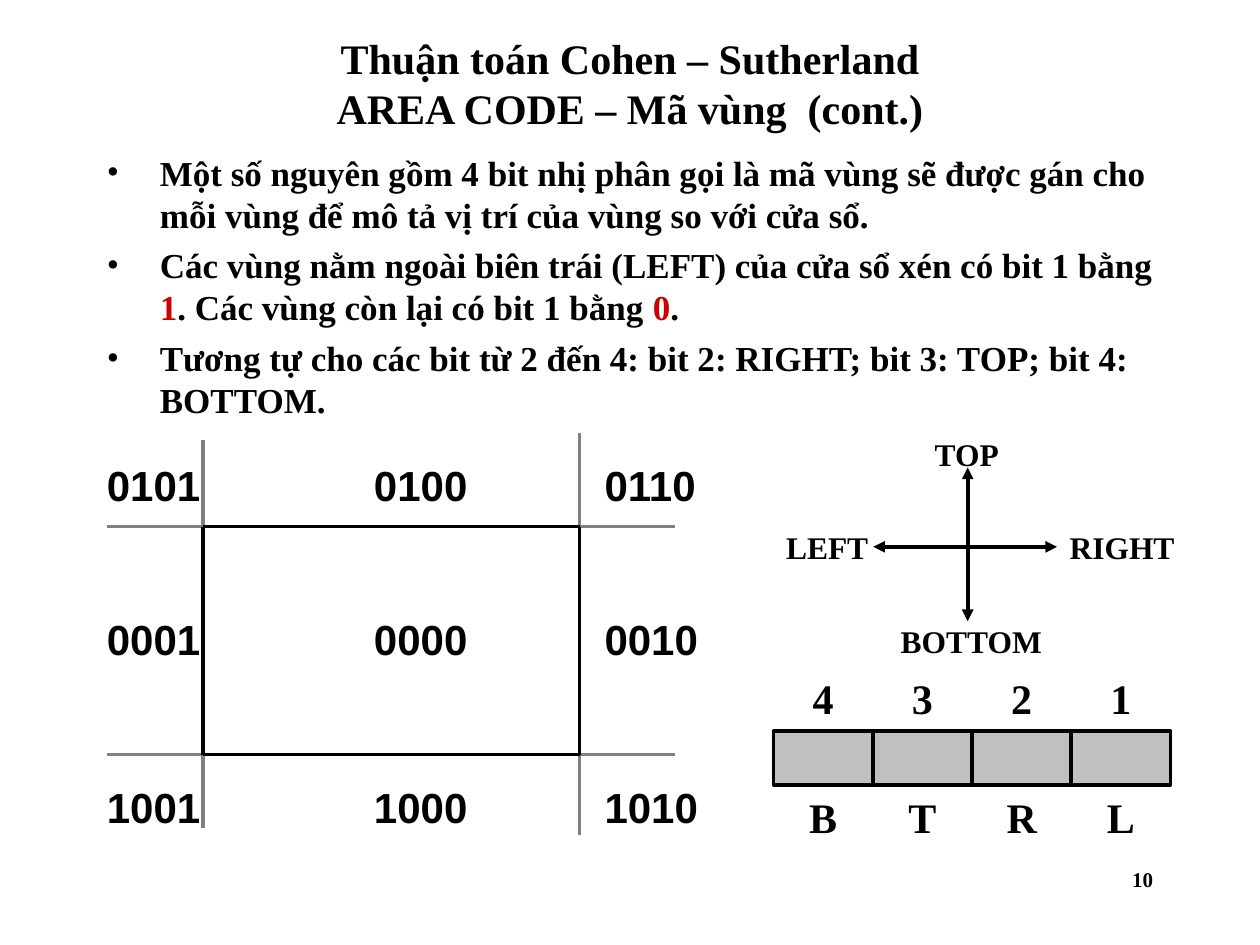
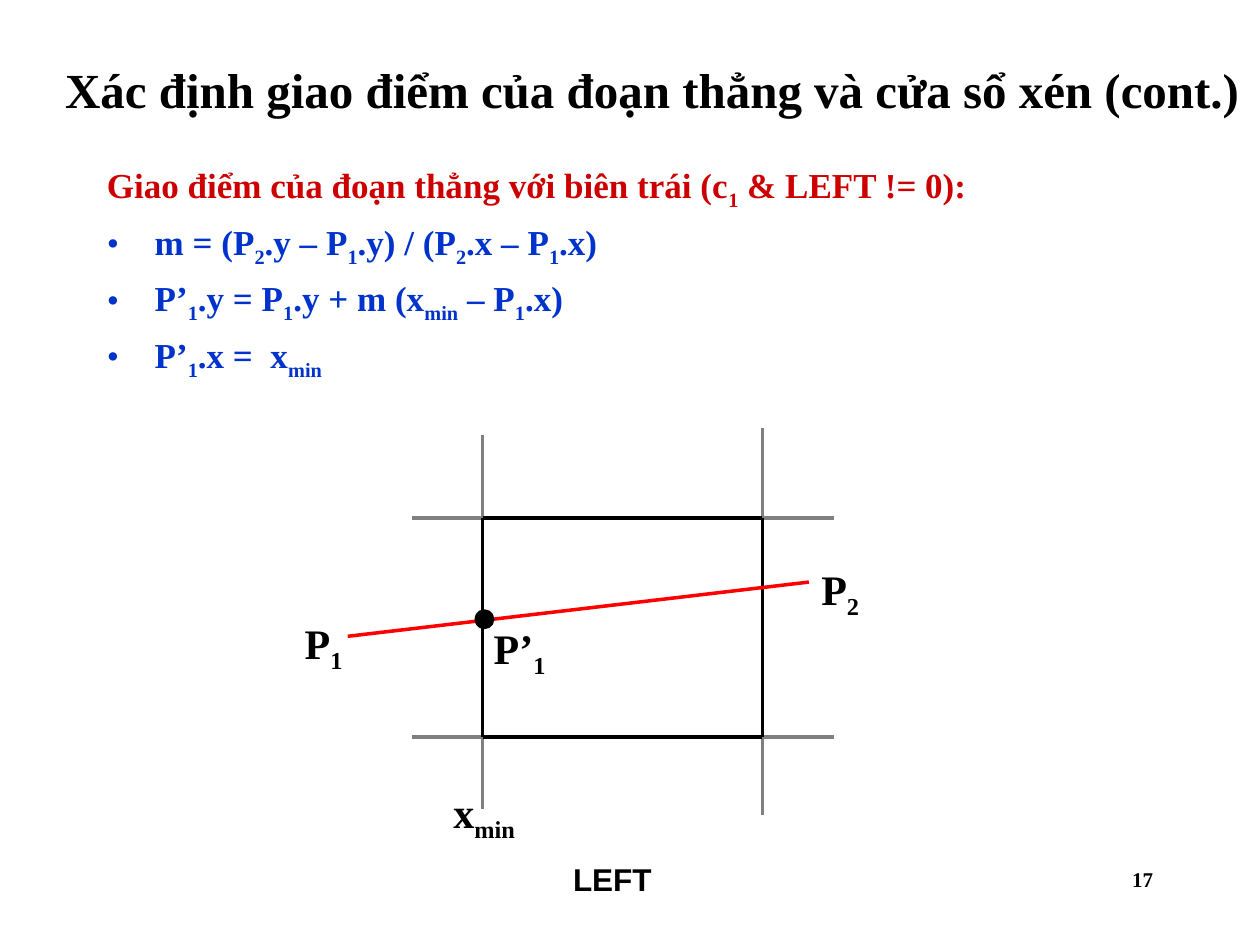
from dataclasses import dataclass

from lxml.etree import SubElement
from pptx import Presentation
from pptx.dml.color import RGBColor as RGB
from pptx.enum.shapes import MSO_CONNECTOR as CONNECTOR, MSO_SHAPE as SHAPE
from pptx.enum.text import MSO_ANCHOR as ANCHOR, PP_ALIGN as ALIGN
from pptx.oxml.ns import qn
from pptx.util import Inches, Pt


@dataclass(frozen=True)
class Theme:
    ink: RGB = RGB(0x00, 0x00, 0x00)
    accent: RGB = RGB(0xCC, 0x00, 0x00)
    formula: RGB = RGB(0x00, 0x33, 0xCC)
    border: RGB = RGB(0x80, 0x80, 0x80)
    cell: RGB = RGB(0xC0, 0xC0, 0xC0)
    segment: RGB = RGB(0xFF, 0x00, 0x00)
    serif: str = "Times New Roman"
    sans: str = "Arial"
    title: int = 28
    large: int = 24
    body: int = 20
    small: int = 18
    page: int = 12
    stroke: float = 2
    arrow: float = 2.25


theme = Theme()


def add_text(slide, box, lines, size, font=theme.serif, align=ALIGN.LEFT,
             anchor=ANCHOR.TOP, wrap=True, before=0, accent=None):
    frame = slide.shapes.add_textbox(*map(Inches, box)).text_frame
    frame.word_wrap = wrap
    frame.vertical_anchor = anchor
    for index, (line, color) in enumerate(lines):
        paragraph = frame.add_paragraph() if index else frame.paragraphs[0]
        first, *rest = line.split("|")
        paragraph.text = first
        for piece in rest:
            paragraph.add_run().text = piece
        paragraph.alignment = align
        paragraph.space_before = Pt(before)
        for order, run in enumerate(paragraph.runs):
            run.font.name, run.font.size, run.font.bold = font, Pt(size), True
            run.font.color.rgb = color
            if rest and order % 2:
                if accent:
                    run.font.color.rgb = accent
                else:
                    run.font._element.set("baseline", "-25000")
    return frame


def add_line(slide, x1, y1, x2, y2, color, width=theme.stroke, arrows=False):
    line = slide.shapes.add_connector(CONNECTOR.STRAIGHT, *map(Inches, (x1, y1, x2, y2)))
    line.line.color.rgb = color
    line.line.width = Pt(width)
    if arrows:
        for end in ("a:headEnd", "a:tailEnd"):
            SubElement(line.line._get_or_add_ln(), qn(end), type="triangle")
    SubElement(line._element.spPr, qn("a:effectLst"))


deck = Presentation()
deck.slide_width, deck.slide_height = Inches(10), Inches(7.5)

pages = [
    dict(
        title="Thuận toán Cohen – Sutherland\nAREA CODE – Mã vùng  (cont.)",
        title_box=(0.75, 0.28, 8.5, 0.75), title_size=theme.large,
        body_box=(0.75, 1.15, 8.52, 2.24), indent=0.42, accent=theme.accent,
        lines=[
            ("Một số nguyên gồm 4 bit nhị phân gọi là mã vùng sẽ được gán cho "
             "mỗi vùng để mô tả vị trí của vùng so với cửa sổ.", theme.ink),
            ("Các vùng nằm ngoài biên trái (LEFT) của cửa sổ xén có bit 1 bằng "
             "|1|. Các vùng còn lại có bit 1 bằng |0|.", theme.ink),
            ("Tương tự cho các bit từ 2 đến 4: bit 2: RIGHT; bit 3: TOP; "
             "bit 4: BOTTOM.", theme.ink),
        ],
        heading=False, window=(1.61, 4.18, 4.6, 5.99), reach_x=(0.85, 5.36),
        reach_y=((3.49, 6.57), (3.44, 6.63)), number="10",
    ),
    dict(
        title="Xác định giao điểm của đoạn thẳng và cửa sổ xén (cont.)",
        title_box=(0.35, 0.33, 9.65, 0.75), title_size=theme.title,
        body_box=(0.75, 1.25, 8.5, 1.99), indent=0.38, accent=None,
        lines=[
            ("Giao điểm của đoạn thẳng với biên trái (c|1| & LEFT != 0):", theme.accent),
            ("m = (P|2|.y – P|1|.y) / (P|2|.x – P|1|.x)", theme.formula),
            ("P’|1|.y = P|1|.y + m (x|min| – P|1|.x)", theme.formula),
            ("P’|1|.x =  x|min", theme.formula),
        ],
        heading=True, window=(3.83, 4.11, 6.05, 5.85), reach_x=(3.27, 6.62),
        reach_y=((3.45, 6.42), (3.4, 6.47)), number="17",
    ),
]

slides = []
for page in pages:
    slide = deck.slides.add_slide(deck.slide_layouts[6])
    slides.append(slide)
    add_text(slide, page["title_box"], [(page["title"], theme.ink)], page["title_size"],
             align=ALIGN.CENTER, anchor=ANCHOR.MIDDLE)
    body = add_text(slide, page["body_box"], page["lines"], theme.body,
                    before=5, accent=page["accent"])
    for index, paragraph in enumerate(body.paragraphs):
        properties = paragraph._p.get_or_add_pPr()
        properties.set("marL", str(Inches(page["indent"])))
        properties.set("indent", str(-Inches(page["indent"])))
        if index or not page["heading"]:
            SubElement(properties, qn("a:buFont"), typeface=theme.serif)
            SubElement(properties, qn("a:buChar"), char="•")

    left, top, right, bottom = page["window"]
    for x, (start, end) in zip((left, right), page["reach_y"]):
        add_line(slide, x, start, x, end, theme.border)
    for y in (top, bottom):
        add_line(slide, page["reach_x"][0], y, page["reach_x"][1], y, theme.border)
    for x in (left, right):
        add_line(slide, x, top, x, bottom, theme.ink)
    for y in (top, bottom):
        add_line(slide, left, y, right, y, theme.ink)
    add_text(slide, (7.17, 6.83, 2.08, 0.5), [(page["number"], theme.ink)],
             theme.page, align=ALIGN.RIGHT)

area_slide, intersection_slide = slides

area_codes = [
    (3.6, ("0101", "0100", "0110")),
    (4.82, ("0001", "0000", "0010")),
    (6.15, ("1001", "1000", "1010")),
]
for y, codes in area_codes:
    for x, code in zip((0.75, 2.87, 4.7), codes):
        add_text(area_slide, (x, y, 0.94, 0.5), [(code, theme.ink)], theme.large,
                 font=theme.sans, wrap=False)

directions = [("TOP", 7.32, 3.4), ("LEFT", 6.14, 4.14),
              ("RIGHT", 8.39, 4.14), ("BOTTOM", 7.05, 4.89)]
for direction, x, y in directions:
    add_text(area_slide, (x, y, 1.38, 0.4), [(direction, theme.ink)], theme.small, before=11.2)
for axis in ((7.68, 3.71, 7.68, 4.93), (6.93, 4.34, 8.39, 4.34)):
    add_line(area_slide, *axis, theme.ink, theme.arrow, arrows=True)

bits_left, bits_right, bit_height = 6.14, 9.29, 0.43
bit_width = (bits_right - bits_left) / 4
for index, (bit, side) in enumerate(zip("4321", "BTRL")):
    x = bits_left + index * bit_width
    cell = area_slide.shapes.add_shape(
        SHAPE.RECTANGLE, *map(Inches, (x, 5.8, bit_width, bit_height)))
    cell.shadow.inherit = False
    cell.fill.solid()
    cell.fill.fore_color.rgb = theme.cell
    cell.line.color.rgb = theme.ink
    cell.line.width = Pt(theme.stroke)
    for label, y in ((bit, 5.32), (side, 6.27)):
        add_text(area_slide, (x, y, bit_width, bit_height), [(label, theme.ink)], theme.large,
                 align=ALIGN.CENTER, anchor=ANCHOR.MIDDLE, wrap=False)

add_line(intersection_slide, 2.76, 5.05, 6.42, 4.62, theme.segment)
crossing = intersection_slide.shapes.add_shape(
    SHAPE.OVAL, *map(Inches, (3.78, 4.85, 0.13, 0.13)))
crossing.shadow.inherit = False
crossing.fill.solid()
crossing.fill.fore_color.rgb = theme.ink
crossing.line.color.rgb = theme.ink
crossing.line.width = Pt(theme.stroke)

points = [("P|1", 2.32, 4.85), ("P’|1", 3.82, 4.89), ("P|2", 6.42, 4.42), ("x|min", 3.5, 6.19)]
for point, x, y in points:
    add_text(intersection_slide, (x, y, 0.79, 0.56), [(point, theme.ink)], theme.large, before=15)
add_text(intersection_slide, (4.45, 6.78, 1, 0.4), [("LEFT", theme.ink)], theme.small,
         font=theme.sans)

deck.save("out.pptx")
